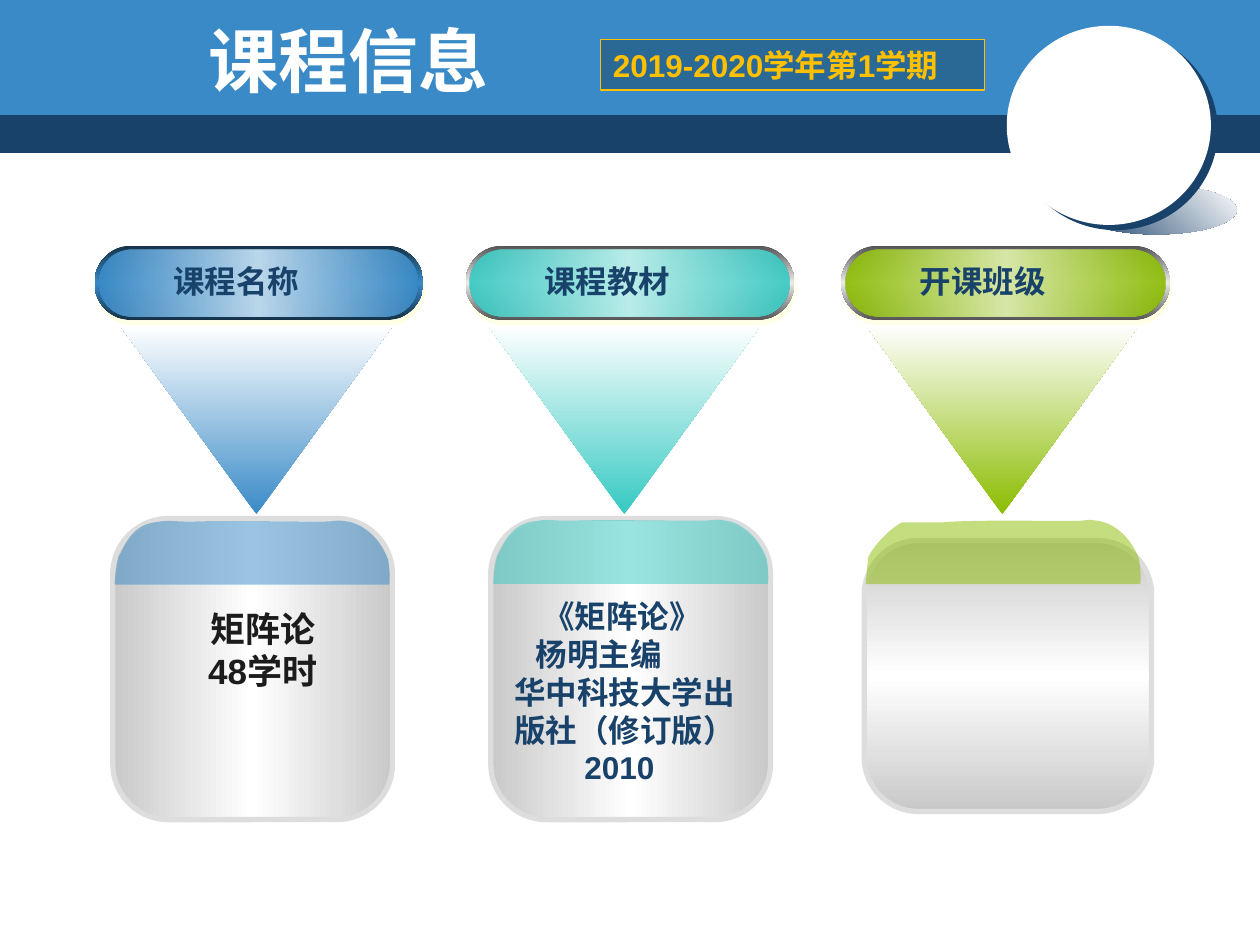
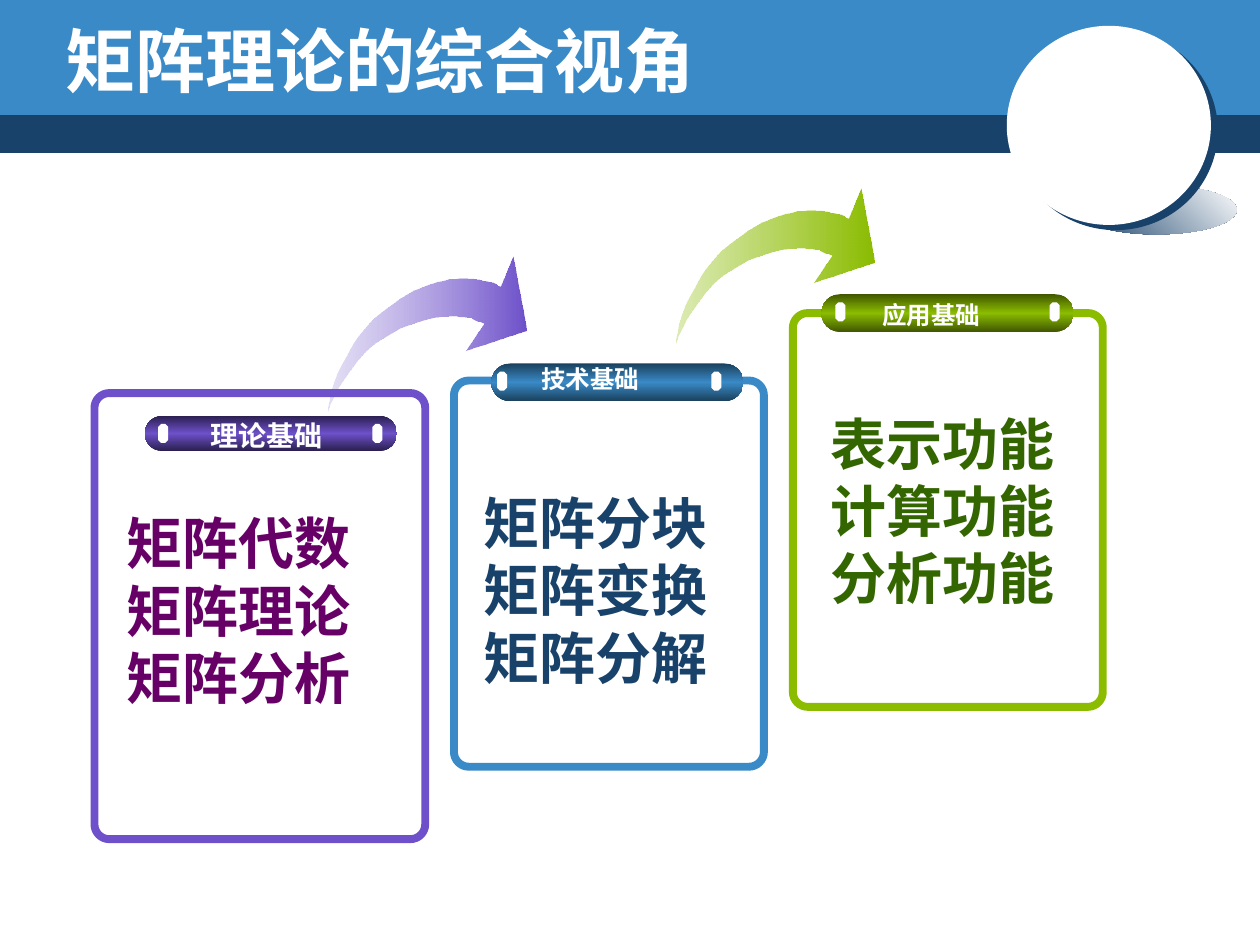
from lxml import etree
from pptx import Presentation
from pptx.dml.color import RGBColor
from pptx.enum.shapes import MSO_SHAPE
from pptx.enum.text import MSO_ANCHOR, MSO_AUTO_SIZE, PP_ALIGN
from pptx.oxml.ns import qn
from pptx.util import Inches, Pt

RECT = MSO_SHAPE.RECTANGLE
ROUND = MSO_SHAPE.ROUNDED_RECTANGLE
OVAL = MSO_SHAPE.OVAL
OCTAGON = MSO_SHAPE.OCTAGON
TRIANGLE = MSO_SHAPE.ISOSCELES_TRIANGLE
LEFT = PP_ALIGN.LEFT
CENTER = PP_ALIGN.CENTER
TOP = MSO_ANCHOR.TOP
MIDDLE = MSO_ANCHOR.MIDDLE
GROW = MSO_AUTO_SIZE.SHAPE_TO_FIT_TEXT
FIXED = MSO_AUTO_SIZE.NONE

WIDTH, HEIGHT = Inches(10), Inches(7.5)
CELL = WIDTH / 100

HEX = {
    "navy": "19426B", "blue": "398AC7", "white": "FFFFFF",
    "teal": "35C9C2", "green": "8BBC00", "violet": "6D50CA",
    "lime": "95C217", "lilac": "AB9AE0",
    "pale blue": "BCD8EC", "pale teal": "BBEDEA", "pale green": "D8E8A9",
    "deep blue": "153248", "dark blue": "1A405C",
    "dark green": "405700", "dark violet": "2A1F4E",
    "grey": "545454", "light": "EAEAEA", "steel": "C9C9C9",
    "edge": "DDDDDD", "cream": "FFFFCC", "gold": "FFC000",
    "label": "2A6896", "black": "1C1C1C", "plum": "660066", "moss": "336600",
}

CAP_ROUND = [
    [(0, 5.2)],
    [(0, 5.2), (0, 4.4), (0.3, 3)],
    [(0.8, 2.2), (1.2, 0.7), (2.9, 0.3)],
    [(4.7, 0), (4, 0.2), (6.2, 0.2)],
]
CAP_CUT = [
    [(0, 5.2)],
    [(0.2, 3.1)],
    [(0.6, 2.2), (1.9, 0.8), (2.9, 0.3)],
    [(6.2, 0.3)],
]
CAP_RIGHT = [
    [(8.4, 0.1), (14, 0.2), (16.1, 0.2)],
    [(18.1, 0.2), (17.2, 0), (18.5, 0.2)],
    [(19.7, 0.4), (21, 1.4), (21.7, 3.2)],
    [(21.9, 4.5), (21.8, 5.2), (21.8, 5.2)],
]
ARROW = [
    (0, 12.3), (0, 12.2), (0.1, 11.9), (0.2, 11.6), (0.5, 11), (0.8, 10.4),
    (1.2, 9.8), (1.7, 9.1), (2.2, 8.4), (2.9, 7.6), (3.7, 6.9), (4.7, 6.3),
    (5.7, 5.7), (6.8, 5.3), (7.8, 5), (8.7, 4.8), (9.5, 4.75), (10.2, 4.75),
    (10.8, 4.8), (11.3, 4.9), (11.7, 5.1), (12, 5.2), (12.3, 5.3),
    (10.85, 7.5), (15.7, 5.9), (14.6, 0), (13.6, 2.4), (13.4, 2.3),
    (13.1, 2.1), (12.7, 2), (12.2, 1.9), (11.7, 1.8), (11, 1.75),
    (10.3, 1.75), (9.5, 1.8), (8.6, 2), (7.7, 2.3), (6.7, 2.7), (5.7, 3.3),
    (4.6, 4.1), (3.6, 4.9), (2.8, 5.8), (2.1, 6.7), (1.6, 7.6), (1.1, 8.5),
    (0.7, 9.3), (0.4, 10.1), (0.2, 10.8), (0.1, 11.4), (0, 11.9), (0, 12.2),
]


def grid(*cells):
    return [round(n * CELL) for n in cells]


def tint(name):
    return RGBColor.from_string(HEX[name])


def node(parent, tag, **attrs):
    return etree.SubElement(parent, qn(tag), {k: str(v) for k, v in attrs.items()})


def hue(parent, name, alpha=100):
    color = node(parent, "a:srgbClr", val=HEX[name])
    if alpha < 100:
        node(color, "a:alpha", val=alpha * 1000)


def plain(shape, fill=None, line=None, width=1):
    shape.shadow.inherit = False
    if fill:
        shape.fill.solid()
        shape.fill.fore_color.rgb = tint(fill)
    else:
        shape.fill.background()
    if line:
        shape.line.color.rgb = tint(line)
        shape.line.width = Pt(width)
    else:
        shape.line.fill.background()
    return shape


def draw(slide, kind, box, fill=None, line=None, width=1, adj=None):
    shape = slide.shapes.add_shape(kind, *grid(*box))
    if adj is not None:
        shape.adjustments[0] = adj
    return plain(shape, fill, line, width)


def trace(slide, parts, left, top, **style):
    spots = [grid(left + x, top + y) for part in parts for x, y in part]
    pen = slide.shapes.build_freeform(*spots[0])
    pen.add_line_segments(spots[1:], close=True)
    shape = pen.convert_to_shape()
    steps = iter(shape._element.spPr.findall(".//" + qn("a:lnTo")))
    for part in parts[1:]:
        first = next(steps)
        if len(part) == 3:
            first.tag = qn("a:cubicBezTo")
            for _ in range(2):
                step = next(steps)
                first.append(step[0])
                step.getparent().remove(step)
    return plain(shape, **style)


def blend(shape, angle, *stops):
    shape.fill.gradient()
    grad = shape._element.spPr.find(qn("a:gradFill"))
    marks = grad.find(qn("a:gsLst"))
    for old in list(marks):
        marks.remove(old)
    for i, (name, alpha) in enumerate(stops):
        hue(node(marks, "a:gs", pos=100000 * i // (len(stops) - 1)), name, alpha)
    grad.find(qn("a:lin")).set("ang", str(angle * 60000))


def fade(shape, alpha):
    color = shape._element.spPr.find(qn("a:solidFill"))[0]
    node(color, "a:alpha", val=alpha * 1000)


def shade(shape, name, alpha, reach, angle):
    effects = shape._element.spPr.find(qn("a:effectLst"))
    cast = node(effects, "a:outerShdw", blurRad=0, dist=Pt(reach),
                dir=angle * 60000, algn="ctr", rotWithShape=0)
    hue(cast, name, alpha)


def write(shape, lines, size, color, align=LEFT, font="Arial",
          anchor=TOP, wrap=True, fit=GROW):
    frame = shape.text_frame
    frame.word_wrap = wrap
    frame.auto_size = fit
    frame.vertical_anchor = anchor
    for i, (text, indent) in enumerate(lines):
        para = frame.add_paragraph() if i else frame.paragraphs[0]
        para.alignment = align
        if indent:
            props = para._p.get_or_add_pPr()
            props.set("marL", str(grid(indent)[0]))
            props.set("indent", "0")
        run = para.add_run()
        run.text = text
        run.font.size = Pt(size)
        run.font.bold = True
        run.font.name = font
        run.font.color.rgb = tint(color)
        node(run._r.get_or_add_rPr(), "a:ea", typeface=font)


def note(slide, box, lines, size, color, **style):
    write(slide.shapes.add_textbox(*grid(*box)), lines, size, color, **style)


def header(slide):
    draw(slide, RECT, (0, 8.7, 100, 3.45), "navy")
    draw(slide, RECT, (0, 0, 100, 9.13), "blue")
    glow = draw(slide, OVAL, (85.4, 14.7, 12.75, 3.9))
    blend(glow, 315, ("navy", 100), ("white", 100))
    disc = draw(slide, OVAL, (79.9, 2.05, 16.2, 15.8), "white")
    shade(disc, "navy", 100, 5, 37)
    draw(slide, OVAL, (85.3, 7.6, 5.7, 5.4), "white")


def title(slide, text, indent=0):
    note(slide, (4.2, 1.63, 80.8, 6.2), [(text, indent)], 40, "white",
         font="DejaVu Sans", anchor=MIDDLE, fit=FIXED)


def card(slide, box, turn=0):
    shape = draw(slide, ROUND, box, line="edge", width=3, adj=0.199)
    shape.rotation = turn
    blend(shape, 90, ("steel", 100), ("white", 100), ("steel", 100))


def cap(slide, left, top, side, fill):
    fade(trace(slide, side + CAP_RIGHT, left, top, fill=fill), 50)


def pill(slide, left, text, main, pale, rim, core):
    ring = draw(slide, ROUND, (left, 19.5, 26.1, 5.9), adj=0.5)
    blend(ring, 90, (rim, 100), (core, 100), (rim, 100))
    shade(ring, "cream", 50, 3.2, 72)
    face = draw(slide, ROUND, (left + 0.33, 19.85, 25.4, 5.3), adj=0.5)
    blend(face, 0, (main, 90), (pale, 100), (main, 90))
    note(slide, (left + 5.25, 20.3, 12, 4), [(text, 0)], 18, "navy", wrap=False)


def funnel(slide, left, fill):
    shape = draw(slide, TRIANGLE, (left, 25.8, 21.7, 15))
    shape.rotation = 180
    blend(shape, 90, (fill, 100), ("white", 100))


def sweep(slide, left, top, pale, main):
    shape = trace(slide, [[spot] for spot in ARROW], left, top)
    blend(shape, 0, (pale, 32), (main, 100))


def border(slide, left, top, wide, high, color):
    far, mid = 1.17, 0.53
    parts = [
        [(far, 0)],
        [(mid, 0), (0, mid), (0, far)],
        [(0, high - far)],
        [(0, high - mid), (mid, high), (far, high)],
        [(wide - far, high)],
        [(wide - mid, high), (wide, high - mid), (wide, high - far)],
        [(wide, far)],
        [(wide, mid), (wide - mid, 0), (wide - far, 0)],
    ]
    trace(slide, parts, left, top, line=color, width=4.5)


def panel(slide, box, clip, dot, main, dark):
    border(slide, *box, main)
    left, top, high = clip
    bar = draw(slide, ROUND, (left, top, 20, high), adj=0.5)
    blend(bar, 90, (dark, 100), (main, 100), (dark, 100))
    for step in (0, 17):
        draw(slide, OCTAGON, (left + dot + step, top + 0.65, 0.8, 1.5),
             "white", adj=0.293)


def course(slide):
    header(slide)
    title(slide, "课程信息", 11.35)
    card(slide, (8.1, 42, 23.9, 22.2), 90)
    cap(slide, 9.1, 41.2, CAP_ROUND, "blue")
    note(slide, (9.85, 47.75, 22, 7.7), [("矩阵论", 0), ("48学时", 0)],
         20, "black", align=CENTER)
    card(slide, (38.1, 42, 23.9, 22.2), 90)
    cap(slide, 39.15, 41.13, CAP_ROUND, "teal")
    note(slide, (39.85, 46.9, 20.4, 16),
         [("《矩阵论》", 2.3), ("杨明主编", 1.7),
          ("华中科技大学出版社（修订版）", 0), ("2010", 5.55)], 18, "navy")
    card(slide, (68.6, 42.9, 22.8, 21.5))
    cap(slide, 68.7, 41.15, CAP_CUT, "green")
    pill(slide, 36.95, "课程教材", "teal", "pale teal", "grey", "light")
    pill(slide, 66.75, "开课班级", "green", "pale green", "grey", "light")
    pill(slide, 7.5, "课程名称", "blue", "pale blue", "deep blue", "blue")
    for left, fill in ((9.5, "blue"), (38.7, "teal"), (68.7, "green")):
        funnel(slide, left, fill)
    term = draw(slide, RECT, (47.65, 3.15, 30.5, 4), "label", "gold", 0.74)
    write(term, [("2019-2020学年第1学期", 0)], 18, "gold")


def views(slide):
    header(slide)
    sweep(slide, 53.7, 15, "lime", "green")
    panel(slide, (36.03, 30.2, 24.6, 30.65), (39, 28.85, 3), 0.45, "blue", "dark blue")
    panel(slide, (62.93, 24.85, 24.6, 31.25), (65.2, 23.35, 3), 1.1, "green", "dark green")
    sweep(slide, 26.1, 20.33, "lilac", "violet")
    panel(slide, (7.5, 31.2, 26.25, 35.4), (11.5, 33, 2.8), 1.05, "violet", "dark violet")
    for box, text, size in (
        ((41.95, 28.4, 9.8, 3.4), "技术基础", 14),
        ((69, 23.3, 9.8, 3.4), "应用基础", 14),
        ((15.55, 32.7, 11.2, 3.7), "理论基础", 16),
    ):
        note(slide, box, [(text, 0)], size, "white", align=CENTER, wrap=False)
    title(slide, "矩阵理论的综合视角")
    for left, top, color, lines in (
        (9.05, 39.9, "plum", ("矩阵代数", "矩阵理论", "矩阵分析")),
        (37.4, 38.3, "navy", ("矩阵分块", "矩阵变换", "矩阵分解")),
        (64.95, 32, "moss", ("表示功能计算功能", "分析功能")),
    ):
        note(slide, (left, top, 21.3, 17), [(line, 0) for line in lines], 32, color)


def main():
    deck = Presentation()
    deck.slide_width, deck.slide_height = WIDTH, HEIGHT
    for build in (course, views):
        build(deck.slides.add_slide(deck.slide_layouts[6]))
    deck.save("out.pptx")


main()
